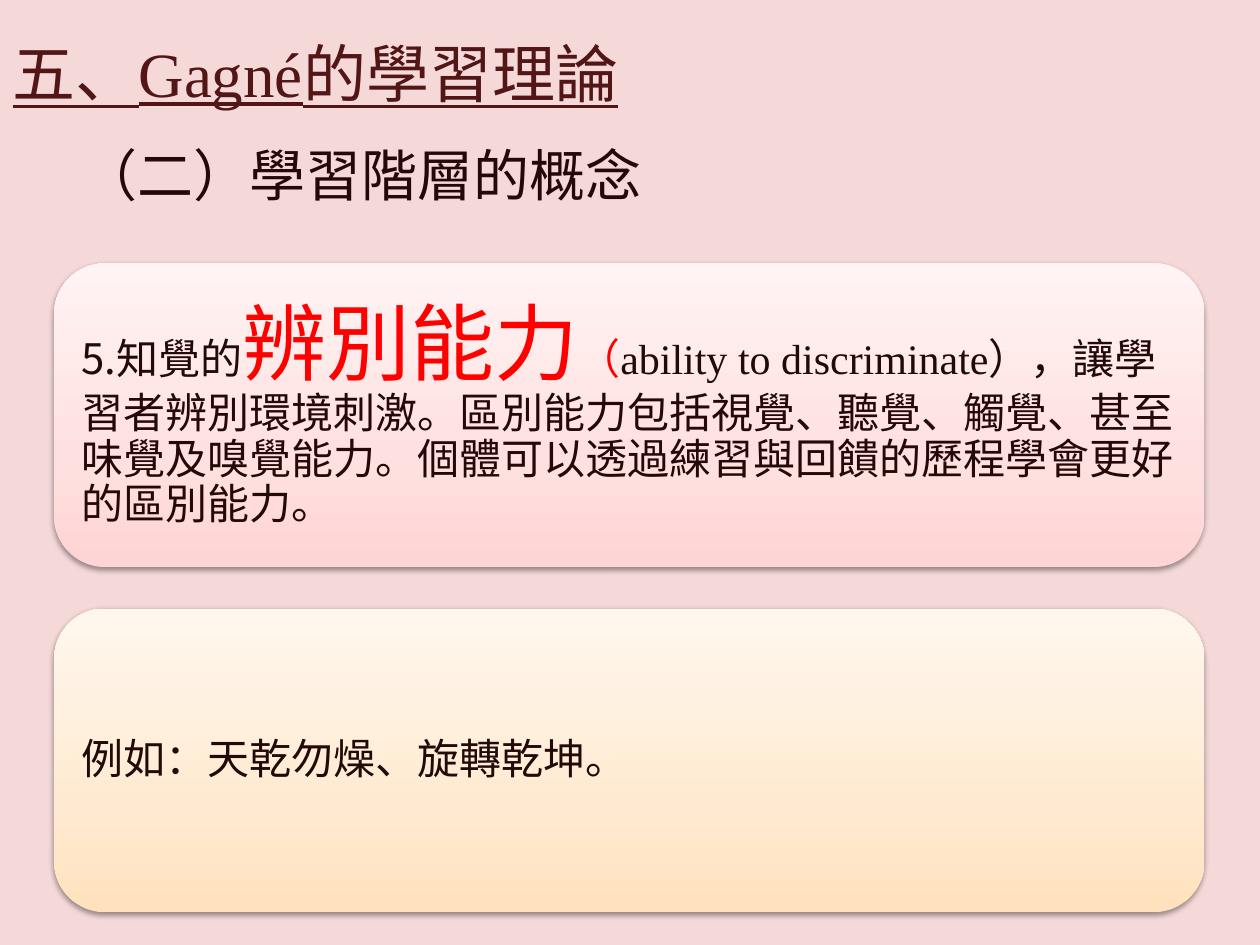
from dataclasses import dataclass

from lxml.etree import SubElement
from pptx import Presentation
from pptx.dml.color import RGBColor
from pptx.enum.shapes import MSO_SHAPE
from pptx.enum.text import MSO_ANCHOR, MSO_AUTO_SIZE, PP_ALIGN
from pptx.oxml import parse_xml
from pptx.oxml.ns import nsdecls, qn
from pptx.util import Inches, Pt


@dataclass(frozen=True)
class Theme:
    background: str = "F5D9D9"
    heading: str = "521616"
    ink: str = "240909"
    accent: str = "FF0000"
    rose: tuple = ("FFD4D4", "FFE0E0", "FFF3F3")
    amber: tuple = ("FFE2BD", "FFEAD1", "FFF7EE")
    stops: tuple = (0, 35, 100)
    chinese: str = "Noto Sans CJK SC"
    latin: str = "Times New Roman"
    title_size: int = 36
    subtitle_size: int = 32
    body_size: int = 24
    emphasis_size: int = 48


def add_span(para, text, *, font, size, color, underline=None):
    span = para.add_run()
    span.text = text
    span.font.name = font
    span.font.size = Pt(size)
    span.font.color.rgb = RGBColor.from_string(color)
    span.font.underline = underline
    latin = span.font._element.find(qn("a:latin"))
    east_asian = latin.makeelement(qn("a:ea"), {"typeface": font})
    latin.addnext(east_asian)


class SlideBuilder:
    columns, rows = 100, 75

    def __init__(self, deck, theme):
        self.deck = deck
        self.theme = theme
        self.slide = deck.slides.add_slide(deck.slide_layouts[5])
        fill = self.slide.background.fill
        fill.solid()
        fill.fore_color.rgb = RGBColor.from_string(theme.background)

    def area(self, left, top, width, height):
        column = self.deck.slide_width / self.columns
        row = self.deck.slide_height / self.rows
        return [round(value * unit) for value, unit in
                zip((left, top, width, height), (column, row, column, row))]

    def title(self, spans, *area):
        box = self.slide.shapes.title
        box.left, box.top, box.width, box.height = self.area(*area)
        frame = box.text_frame
        frame.auto_size = MSO_AUTO_SIZE.NONE
        frame.vertical_anchor = MSO_ANCHOR.TOP
        para = frame.paragraphs[0]
        para.alignment = PP_ALIGN.LEFT
        for text, font in spans:
            add_span(para, text, font=font, size=self.theme.title_size,
                     color=self.theme.heading, underline=True)

    def subtitle(self, text, *area):
        box = self.slide.shapes.add_textbox(*self.area(*area))
        box.text_frame.word_wrap = False
        add_span(box.text_frame.paragraphs[0], text, font=self.theme.chinese,
                 size=self.theme.subtitle_size, color=self.theme.ink)

    def card(self, spans, colors, *area):
        card = self.slide.shapes.add_shape(MSO_SHAPE.ROUNDED_RECTANGLE, *self.area(*area))
        card.line.fill.background()
        self.paint(card, colors)
        frame = card.text_frame
        frame.word_wrap = True
        frame.vertical_anchor = MSO_ANCHOR.MIDDLE
        frame.margin_left = frame.margin_right = Inches(0.1)
        frame.margin_top = frame.margin_bottom = Inches(0.1)
        para = frame.paragraphs[0]
        para.alignment = PP_ALIGN.LEFT
        para.line_spacing = 0.9
        after = SubElement(para._p.get_or_add_pPr(), qn("a:spcAft"))
        SubElement(after, qn("a:spcPct"), val="35000")
        for text, changes in spans:
            style = dict(font=self.theme.chinese, size=self.theme.body_size,
                         color=self.theme.ink)
            add_span(para, text, **(style | changes))

    def paint(self, shape, colors):
        stops = "".join(
            f'<a:gs pos="{stop * 1000}"><a:srgbClr val="{color}"/></a:gs>'
            for stop, color in zip(self.theme.stops, colors))
        gradient = parse_xml(
            f'<a:gradFill {nsdecls("a")} rotWithShape="1"><a:gsLst>{stops}</a:gsLst>'
            '<a:lin ang="16200000" scaled="1"/></a:gradFill>')
        shadow = parse_xml(
            f'<a:effectLst {nsdecls("a")}><a:outerShdw blurRad="{Pt(3.1)}" '
            f'dist="{Pt(1.6)}" dir="5400000" rotWithShape="0">'
            '<a:srgbClr val="000000"><a:alpha val="38000"/></a:srgbClr>'
            '</a:outerShdw></a:effectLst>')
        properties = shape._element.spPr
        properties.find(qn("a:prstGeom")).addnext(gradient)
        properties.find(qn("a:ln")).addnext(shadow)


def main():
    deck = Presentation()
    deck.slide_width, deck.slide_height = Inches(10), Inches(7.5)
    theme = Theme()
    page = SlideBuilder(deck, theme)
    page.title([("五、", theme.chinese), ("Gagné", theme.latin),
                ("的學習理論", theme.chinese)], 0, 2.2, 97.6, 7.1)
    ability = [
        ("5.知覺的", {}),
        ("辨別能力", {"size": theme.emphasis_size, "color": theme.accent}),
        ("（", {"color": theme.accent}),
        ("ability to discriminate", {"font": theme.latin}),
        ("），讓學習者辨別環境刺激。區別能力包括視覺、聽覺、觸覺、甚至味覺及嗅覺能力。"
         "個體可以透過練習與回饋的歷程學會更好的區別能力。", {}),
    ]
    example = [("例如：天乾勿燥、旋轉乾坤。", {})]
    first_top, height, gap = 20.9, 24.1, 3.3
    cards = [(ability, theme.rose), (example, theme.amber)]
    for index, (spans, colors) in enumerate(cards):
        page.card(spans, colors, 4.3, first_top + index * (height + gap), 91.3, height)
    page.subtitle("（二）學習階層的概念", 5.5, 10.7, 46.9, 6.4)
    deck.save("out.pptx")


if __name__ == "__main__":
    main()
